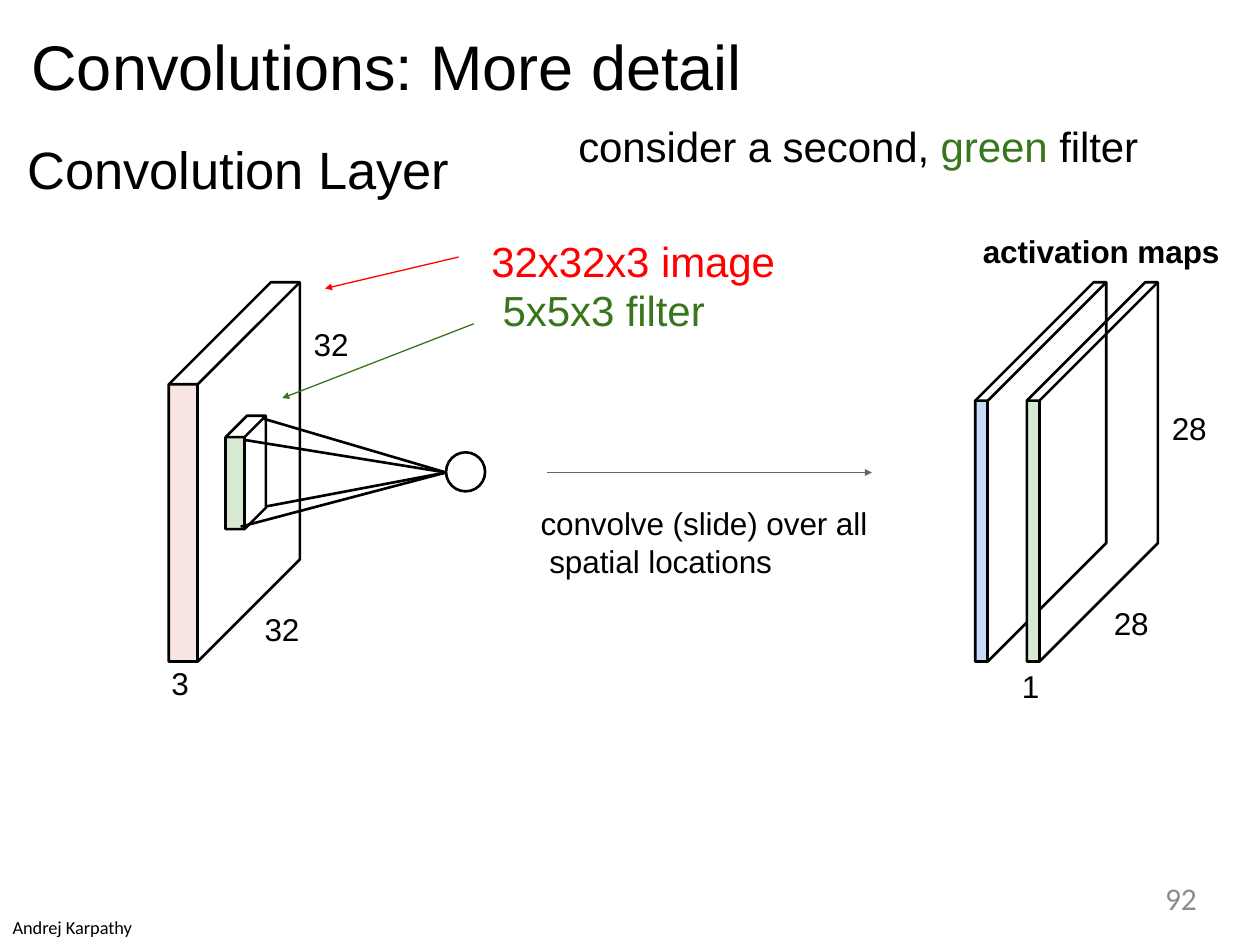
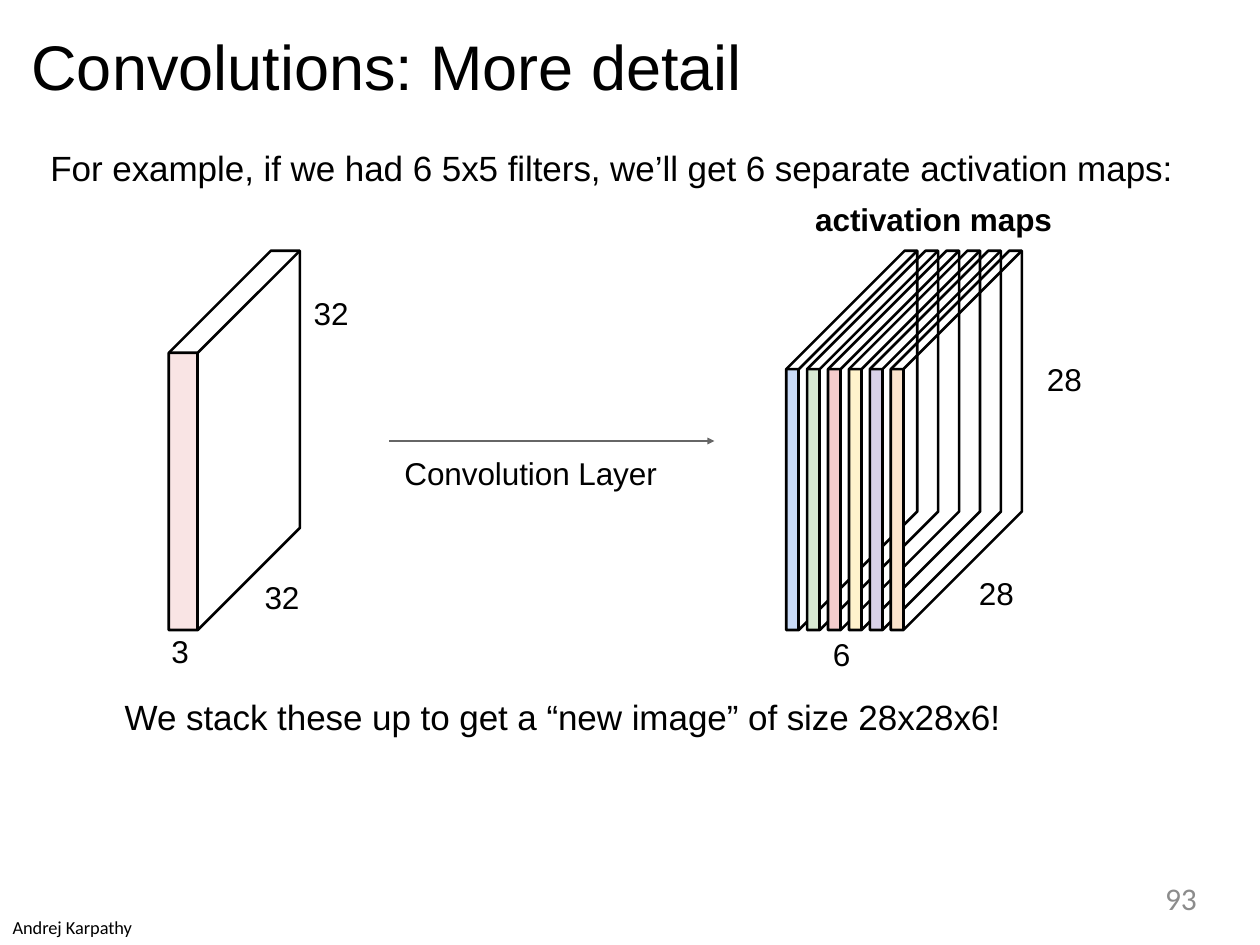
"""Build two slides on convolution layers and their activation maps."""
from dataclasses import dataclass, replace
from typing import Optional

from lxml.etree import SubElement
from pptx import Presentation
from pptx.dml.color import RGBColor
from pptx.enum.shapes import MSO_CONNECTOR, MSO_SHAPE
from pptx.enum.text import MSO_ANCHOR, MSO_AUTO_SIZE, PP_ALIGN
from pptx.oxml.ns import qn
from pptx.shapes.autoshape import Shape
from pptx.shapes.connector import Connector
from pptx.slide import Slide
from pptx.text.text import TextFrame
from pptx.util import Inches, Pt


@dataclass(frozen=True)
class Theme:
    """Colours, fonts and type sizes of the deck."""
    ink: str = "000000"
    red: str = "FF0000"
    green: str = "38751C"
    grey: str = "666666"
    number: str = "8C8C8C"
    pink: str = "F4CCCC"
    map_fills: tuple[str, ...] = ("C8DAF7", "D8E9D3", "F4CCCC", "FFF2CC", "D8D1E8", "FBE4CD")
    body_font: str = "Arial"
    footer_font: str = "Calibri"
    title_size: float = 36
    heading_size: float = 30
    callout_size: float = 24
    sentence_size: float = 20
    label_size: float = 18
    credit_size: float = 10.5
    outline: float = 1.5
    arrow: float = 0.75


THEME = Theme()


@dataclass(frozen=True)
class Span:
    """A piece of text in one colour."""
    text: str
    color: str = THEME.ink


@dataclass(frozen=True)
class Label:
    """A text box holding one tuple of spans per line."""
    left: float
    top: float
    width: float
    lines: tuple[tuple[Span, ...], ...]
    size: float = THEME.label_size
    font: str = THEME.body_font
    bold: bool = False
    align: PP_ALIGN = PP_ALIGN.LEFT
    spacing: Optional[float] = None
    later_indent: float = 0
    tracking: int = -5


@dataclass(frozen=True)
class Slab:
    """An oblique block given by its front face and its depth."""
    left: float
    top: float
    thickness: float
    height: float
    depth: float
    fill: str
    opacity: int = 100


@dataclass(frozen=True)
class Arrow:
    """A thin straight arrow."""
    start: tuple[float, float]
    end: tuple[float, float]
    color: str = THEME.grey


INPUT_SLAB = Slab(1.34, 3.05, 0.23, 2.2, 0.81, THEME.pink, 52)
FILTER_SLAB = Slab(1.79, 3.47, 0.15, 0.73, 0.17, THEME.map_fills[1])
MAP_SLAB = Slab(7.74, 3.18, 0.1, 2.07, 0.94, THEME.map_fills[0])


def plain(left: float, top: float, width: float, text: str,
          size: float = THEME.label_size, bold: bool = False) -> Label:
    """Return a one-line label in the ink colour."""
    return Label(left, top, width, ((Span(text),),), size, bold=bold)


def fill_text(frame: TextFrame, label: Label) -> None:
    """Write the lines of a label into a frame without margins."""
    frame.word_wrap = True
    frame.auto_size = MSO_AUTO_SIZE.NONE
    frame.vertical_anchor = MSO_ANCHOR.TOP
    frame.margin_left = frame.margin_right = frame.margin_top = frame.margin_bottom = 0
    for index, line in enumerate(label.lines):
        para = frame.add_paragraph() if index else frame.paragraphs[0]
        para.alignment = label.align
        if label.spacing is not None:
            para.line_spacing = label.spacing
        if index and label.later_indent:
            para._p.get_or_add_pPr().set("marL", str(Inches(label.later_indent)))
        for span in line:
            run = para.add_run()
            run.text = span.text
            run.font.name = label.font
            run.font.size = Pt(label.size)
            run.font.bold = label.bold
            run.font.color.rgb = RGBColor.from_string(span.color)
            run._r.get_or_add_rPr().set("spc", str(label.tracking))


def place(box: Shape, label: Label) -> None:
    """Put a box where its label belongs and write the text."""
    box.left, box.top, box.width = Inches(label.left), Inches(label.top), Inches(label.width)
    box.height = Inches(round(label.size * 1.2 / 72 * len(label.lines), 2))
    fill_text(box.text_frame, label)


def add_label(page: Slide, label: Label) -> None:
    """Add a text box for a label."""
    place(page.shapes.add_textbox(0, 0, 0, 0), label)


def add_line(page: Slide, start: tuple[float, float], end: tuple[float, float],
             color: str = THEME.ink, weight: float = THEME.outline) -> Connector:
    """Add a straight line without a shadow."""
    line = page.shapes.add_connector(MSO_CONNECTOR.STRAIGHT, *map(Inches, start + end))
    line.line.color.rgb = RGBColor.from_string(color)
    line.line.width = Pt(weight)
    SubElement(line._element.spPr, qn("a:effectLst"))
    return line


def add_arrow(page: Slide, arrow: Arrow) -> None:
    """Add a line with a small head at its end."""
    line = add_line(page, arrow.start, arrow.end, arrow.color, THEME.arrow)
    SubElement(line.line._get_or_add_ln(), qn("a:tailEnd"), type="triangle", w="sm", len="sm")


def outline(shape: Shape) -> None:
    """Give a shape a black outline and no fill."""
    shape.shadow.inherit = False
    shape.fill.background()
    shape.line.color.rgb = RGBColor.from_string(THEME.ink)
    shape.line.width = Pt(THEME.outline)


def add_outline(page: Slide, points: list[tuple[float, float]], close: bool) -> Shape:
    """Add an outlined freeform through the points."""
    corners = [(Inches(x), Inches(y)) for x, y in points]
    builder = page.shapes.build_freeform(*corners[0])
    builder.add_line_segments(corners[1:], close=close)
    shape = builder.convert_to_shape()
    outline(shape)
    return shape


def add_slab(page: Slide, slab: Slab) -> None:
    """Draw a block: coloured front, silhouette, upper edges and front edge."""
    left, right = slab.left, slab.left + slab.thickness
    top, bottom = slab.top, slab.top + slab.height
    back_top, back_right = top - slab.depth, right + slab.depth
    front = page.shapes.add_shape(MSO_SHAPE.RECTANGLE, Inches(left), Inches(top),
                                  Inches(slab.thickness), Inches(slab.height))
    front.shadow.inherit = False
    front.fill.solid()
    front.fill.fore_color.rgb = RGBColor.from_string(slab.fill)
    front.line.fill.background()
    if slab.opacity < 100:
        color = front._element.spPr.find(qn("a:solidFill"))[0]
        SubElement(color, qn("a:alpha"), val=str(slab.opacity * 1000))
    add_outline(page, [(left, top), (left + slab.depth, back_top), (back_right, back_top),
                       (back_right, bottom - slab.depth), (right, bottom), (left, bottom)], True)
    add_outline(page, [(left, top), (right, top), (back_right, back_top)], False)
    add_line(page, (right, top), (right, bottom))


def add_neuron(page: Slide) -> None:
    """Draw the neuron and the lines that join it to the filter."""
    neuron = page.shapes.add_shape(MSO_SHAPE.OVAL, Inches(3.54), Inches(3.59),
                                   Inches(0.31), Inches(0.31))
    outline(neuron)
    for corner in ((1.91, 4.18), (1.93, 3.49), (2.08, 3.32), (2.11, 4.02)):
        add_line(page, corner, (3.54, 3.75))


def add_page(deck: Presentation, number: int) -> Slide:
    """Add a slide with the shared title, credit and page number."""
    page = deck.slides.add_slide(deck.slide_layouts[5])
    title = plain(0.25, 0.22, 9.5, "Convolutions: More detail", THEME.title_size)
    place(page.shapes.title, replace(title, tracking=0))
    credit = plain(0.1, 7.27, 1.5, "Andrej Karpathy", THEME.credit_size)
    add_label(page, replace(credit, font=THEME.footer_font, tracking=0))
    add_label(page, Label(7.2, 6.98, 2.3, ((Span(str(number), THEME.number),),),
                          font=THEME.footer_font, align=PP_ALIGN.RIGHT, tracking=0))
    return page


def add_input(page: Slide, shift: float = 0) -> None:
    """Draw the input volume and its dimensions, moved up by the shift."""
    add_slab(page, replace(INPUT_SLAB, top=INPUT_SLAB.top - shift))
    for left, top, text in ((2.1, 4.84, "32"), (2.49, 2.58, "32"), (1.36, 5.27, "3")):
        add_label(page, plain(left, top - shift, 0.4, text))


def add_maps(page: Slide, left: float, top: float, pitch: float, count: int) -> None:
    """Draw evenly spaced activation maps from left to right."""
    for index, fill in enumerate(THEME.map_fills[:count]):
        add_slab(page, replace(MAP_SLAB, left=left + index * pitch, top=top, fill=fill))


def build_second_filter(deck: Presentation) -> None:
    """Build the slide on the second filter."""
    page = add_page(deck, 92)
    add_input(page)
    add_slab(page, FILTER_SLAB)
    add_neuron(page)
    add_maps(page, MAP_SLAB.left, MAP_SLAB.top, 0.41, 2)
    for arrow in (Arrow((3.64, 2.04), (2.58, 2.29), THEME.red),
                  Arrow((3.76, 2.57), (2.24, 3.16), THEME.green),
                  Arrow((4.34, 3.75), (6.92, 3.75))):
        add_arrow(page, arrow)
    consider = (Span("consider a second, "), Span("green ", THEME.green), Span("filter"))
    sizes = ((Span("32x32x3 image", THEME.red),), (Span("5x5x3 filter", THEME.green),))
    convolve = ((Span("convolve (slide) over all"),), (Span("spatial locations"),))
    for label in (
        plain(0.22, 1.09, 3.6, "Convolution Layer", THEME.heading_size),
        Label(4.59, 0.96, 4.8, (consider,), THEME.callout_size),
        Label(3.9, 1.87, 2.5, sizes, THEME.callout_size, spacing=Pt(28.5), later_indent=0.09),
        Label(4.29, 4, 2.9, convolve, spacing=1.01, later_indent=0.07),
        plain(7.8, 1.84, 2.1, "activation maps", bold=True),
        plain(8.11, 5.29, 0.3, "1"),
        plain(8.84, 4.79, 0.4, "28"),
        plain(9.3, 3.25, 0.4, "28"),
    ):
        add_label(page, label)


def build_six_filters(deck: Presentation) -> None:
    """Build the slide on the stack of six activation maps."""
    page = add_page(deck, 93)
    add_input(page, 0.25)
    add_maps(page, 6.24, 2.93, 0.166, 6)
    add_arrow(page, Arrow((3.09, 3.5), (5.67, 3.5)))
    for label in (
        plain(0.4, 1.16, 9.4, "For example, if we had 6 5x5 filters, "
              "we’ll get 6 separate activation maps:", THEME.sentence_size),
        plain(6.47, 1.59, 2.1, "activation maps", bold=True),
        plain(3.21, 3.6, 2.3, "Convolution Layer"),
        plain(6.61, 5.04, 0.3, "6"),
        plain(7.77, 4.56, 0.4, "28"),
        plain(8.31, 2.86, 0.4, "28"),
        plain(0.99, 5.52, 7.4, "We stack these up to get a “new image” of size 28x28x6!",
              THEME.sentence_size),
    ):
        add_label(page, label)


def main() -> None:
    """Build and save the deck."""
    deck = Presentation()
    deck.slide_width, deck.slide_height = Inches(10), Inches(7.5)
    build_second_filter(deck)
    build_six_filters(deck)
    deck.save("out.pptx")


if __name__ == "__main__":
    main()
